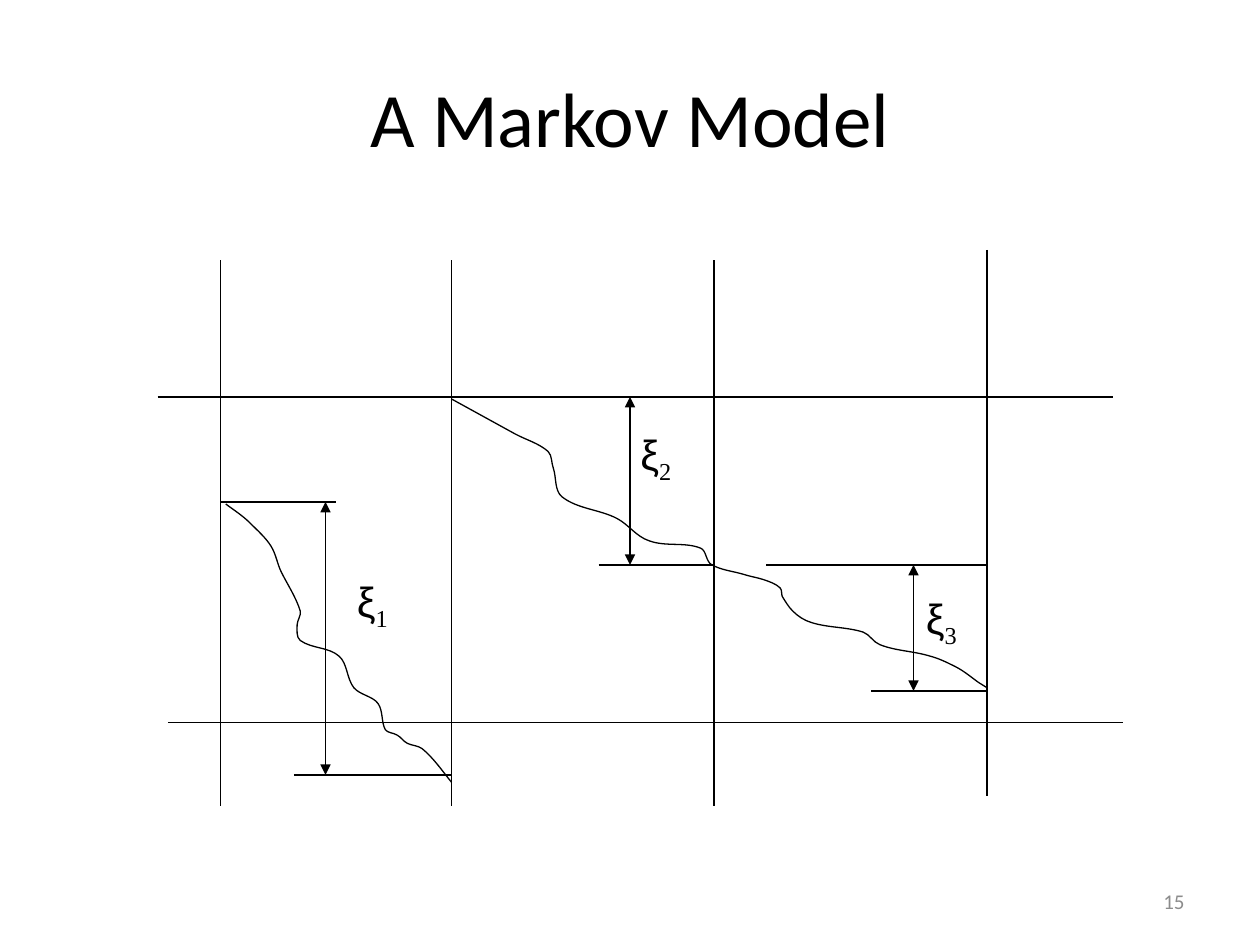
from dataclasses import dataclass
from itertools import accumulate
from math import dist

from lxml.etree import SubElement
from pptx import Presentation
from pptx.dml.color import RGBColor
from pptx.enum.shapes import MSO_CONNECTOR
from pptx.enum.text import MSO_ANCHOR, MSO_AUTO_SIZE, PP_ALIGN
from pptx.oxml.ns import qn
from pptx.util import Emu, Pt

PX_PER_INCH = 120
EMU_PER_PX = 914400 // PX_PER_INCH
BLACK = RGBColor(0x00, 0x00, 0x00)
GRAY = RGBColor(0x8C, 0x8C, 0x8C)

TOP_LEVEL, MIDDLE_LEVEL, BASE_LEVEL = 378, 538, 688
TIMES = [210, 430, 680, 940]
TIME_TOP, TIME_LENGTH = 248, 520
LAST_TIME_RAISE = 10
LEVEL_LENGTH = 910


@dataclass
class Drop:
    start_level: int
    end_level: int
    arrow_x: int
    label_corner: tuple
    start_tick: tuple
    end_tick: tuple
    steps: list


DROPS = [
    Drop(478, 738, 310, (328, 542), (TIMES[0], 320), (280, TIMES[1]),
         [(23, 18), (20, 22), (10, 25), (18, 37), (-3, 13), (3, 15), (37, 15),
          (14, 30), (23, 15), (7, 25), (11, 5), (10, 8), (14, 5), (28, 32)]),
    Drop(TOP_LEVEL, MIDDLE_LEVEL, 600, (598, 402), (), (570, TIMES[2]),
         [(60, 33), (32, 17), (5, 16), (8, 27), (53, 21), (30, 21), (49, 7), (11, 16)]),
    Drop(MIDDLE_LEVEL, 658, 870, (870, 558), (730, TIMES[3]), (830, TIMES[3]),
         [(30, 9), (19, 5), (16, 8), (2, 8), (10, 14), (18, 11), (49, 9),
          (16, 12), (48, 11), (24, 10), (22, 15), (8, 5)]),
]


def walk(start, steps):
    return list(accumulate(steps, lambda at, step: (at[0] + step[0], at[1] + step[1]),
                           initial=start))


def smooth_handles(knots):
    """Give each knot the direction from its previous to its next neighbour."""
    befores = knots[:1] + knots[:-1]
    afters = knots[1:] + knots[-1:]
    directions = []
    for before, after in zip(befores, afters):
        length = dist(before, after)
        directions.append([(b - a) / length for a, b in zip(before, after)])

    points = []
    for index, (start, end) in enumerate(zip(knots, knots[1:])):
        reach = dist(start, end) / 3
        leaving = tuple(p + reach * d for p, d in zip(start, directions[index]))
        arriving = tuple(p - reach * d for p, d in zip(end, directions[index + 1]))
        points += [leaving, arriving, end]
    return points


class SlideBuilder:
    line_width = Pt(0.75)

    def __init__(self, page):
        self.page = page

    def scale(self, *lengths):
        return [Emu(length * EMU_PER_PX) for length in lengths]

    def style_line(self, line):
        line.color.rgb = BLACK
        line.width = self.line_width

    def line(self, x1, y1, x2, y2, arrows=False):
        connector = self.page.shapes.add_connector(
            MSO_CONNECTOR.STRAIGHT, *self.scale(x1, y1, x2, y2))
        self.style_line(connector.line)
        properties = connector._element.spPr
        if arrows:
            outline = properties.find(qn("a:ln"))
            for end in ("a:headEnd", "a:tailEnd"):
                SubElement(outline, qn(end), type="triangle")
        SubElement(properties, qn("a:effectLst"))

    def level(self, left, right, y):
        self.line(left, y, right, y)

    def curve(self, knots):
        builder = self.page.shapes.build_freeform(*knots[0], scale=EMU_PER_PX)
        builder.add_line_segments(smooth_handles(knots), close=False)
        shape = builder.convert_to_shape()
        shape.shadow.inherit = False
        shape.fill.background()
        self.style_line(shape.line)
        outline = shape._element.spPr.find(".//" + qn("a:path"))
        segments = outline.findall(qn("a:lnTo"))
        for start in range(0, len(segments), 3):
            bezier = SubElement(outline, qn("a:cubicBezTo"))
            for segment in segments[start:start + 3]:
                bezier.append(segment[0])
                outline.remove(segment)

    def text(self, left, top, width, height, spans, size, color=BLACK,
             align=PP_ALIGN.LEFT, frame_format=None):
        box = self.page.shapes.add_textbox(*self.scale(left, top, width, height))
        frame = box.text_frame
        settings = {"word_wrap": True, "vertical_anchor": MSO_ANCHOR.MIDDLE}
        for name, value in (frame_format or settings).items():
            setattr(frame, name, value)
        para = frame.paragraphs[0]
        para.alignment = align
        for words, font_name, baseline in spans:
            span = para.add_run()
            span.text = words
            for name, value in {"name": font_name, "size": Pt(size)}.items():
                setattr(span.font, name, value)
            span.font.color.rgb = color
            if baseline:
                span._r.get_or_add_rPr().set("baseline", str(baseline))

    def xi_label(self, left, top, index):
        spans = [("ξ", "Arial", 0), (str(index), "Times New Roman", -25000)]
        self.text(left, top, 58, 60, spans, 24, frame_format={
            "word_wrap": False, "auto_size": MSO_AUTO_SIZE.SHAPE_TO_FIT_TEXT})

    def drop(self, index, drop):
        for tick, y in [(drop.start_tick, drop.start_level), (drop.end_tick, drop.end_level)]:
            if tick:
                self.level(*tick, y)
        self.line(drop.arrow_x, drop.start_level, drop.arrow_x, drop.end_level, arrows=True)
        self.xi_label(*drop.label_corner, index)


def main():
    deck = Presentation()
    deck.slide_width = Emu(10 * PX_PER_INCH * EMU_PER_PX)
    deck.slide_height = Emu(900 * EMU_PER_PX)
    slide = SlideBuilder(deck.slides.add_slide(deck.slide_layouts[6]))

    slide.text(60, 36, 1080, 150, [("A Markov Model", "Calibri", 0)], 44,
               align=PP_ALIGN.CENTER)

    for left, y in [(160, BASE_LEVEL), (150, TOP_LEVEL)]:
        slide.level(left, left + LEVEL_LENGTH, y)
    for time in TIMES:
        top = TIME_TOP - (LAST_TIME_RAISE if time == TIMES[-1] else 0)
        slide.line(time, top, time, top + TIME_LENGTH)

    first, second, third = DROPS
    slide.curve(walk((TIMES[0] + 5, first.start_level + 2), first.steps))
    slide.curve(walk((TIMES[1], second.start_level + 2), second.steps + third.steps))

    for index, drop in enumerate(DROPS, 1):
        slide.drop(index, drop)

    slide.text(860, 834, 280, 48, [("15", "Calibri", 0)], 12, GRAY, PP_ALIGN.RIGHT)
    deck.save("out.pptx")


if __name__ == "__main__":
    main()
